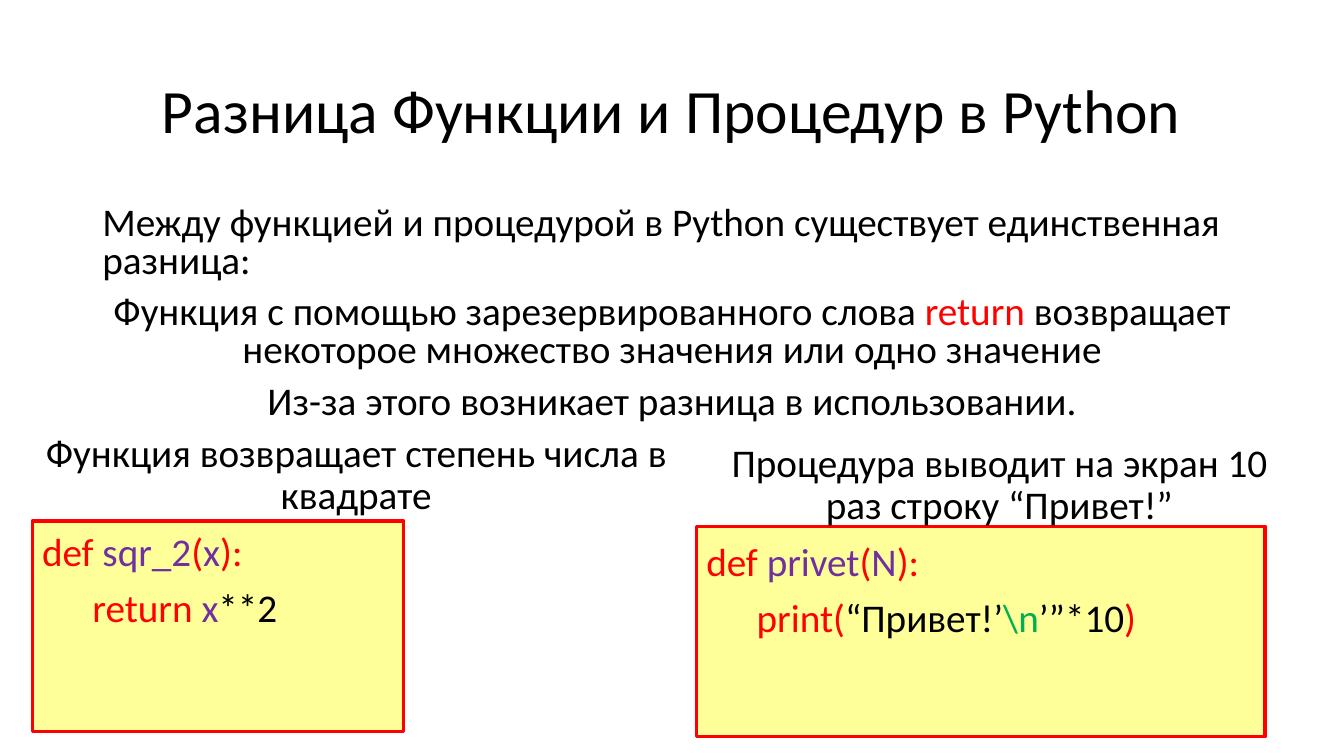
from dataclasses import dataclass

from pptx import Presentation
from pptx.dml.color import RGBColor
from pptx.enum.shapes import MSO_SHAPE
from pptx.enum.text import MSO_ANCHOR, PP_ALIGN
from pptx.util import Cm, Pt

RECTANGLE = MSO_SHAPE.RECTANGLE
LEFT, CENTER = PP_ALIGN.LEFT, PP_ALIGN.CENTER
TOP, MIDDLE = MSO_ANCHOR.TOP, MSO_ANCHOR.MIDDLE

FONT = "Calibri"
COLORS = {
    "text": "000000",
    "keyword": "FF0000",
    "name": "7030A0",
    "escape": "00B050",
    "code_fill": "FFFF99",
    "code_line": "FF0000",
}


@dataclass(frozen=True)
class Box:
    """Place of an element, in centimetres."""
    left: float
    top: float
    width: float
    height: float

    def lengths(self) -> tuple:
        """Return left, top, width and height as lengths."""
        return Cm(self.left), Cm(self.top), Cm(self.width), Cm(self.height)


@dataclass(frozen=True)
class Line:
    """A paragraph made of (text, colour key) pieces."""
    pieces: tuple
    align: PP_ALIGN = LEFT


@dataclass(frozen=True)
class TextBlock:
    """A text box with its paragraphs and their spacing."""
    box: Box
    lines: tuple
    size: int = 28
    spacing: float = 0.9
    before: int = 10
    anchor: MSO_ANCHOR = TOP


def color(key: str) -> RGBColor:
    """Look up a colour by its role."""
    return RGBColor.from_string(COLORS[key])


def plain(text: str, align: PP_ALIGN = CENTER) -> Line:
    """Make a paragraph in the main text colour."""
    return Line(((text, "text"),), align)


def signature(function: str, argument: str) -> Line:
    """Make the coloured def line of a code sample."""
    return Line((("def ", "keyword"), (function, "name"), ("(", "keyword"),
                 (argument, "name"), ("):", "keyword")))


def draw_code_panel(slide, box: Box) -> None:
    """Draw the yellow panel behind a code sample."""
    panel = slide.shapes.add_shape(RECTANGLE, *box.lengths())
    panel.shadow.inherit = False
    panel.fill.solid()
    panel.fill.fore_color.rgb = color("code_fill")
    panel.line.color.rgb = color("code_line")
    panel.line.width = Pt(2.25)


def draw_text(slide, block: TextBlock) -> None:
    """Draw a text block with coloured runs."""
    frame = slide.shapes.add_textbox(*block.box.lengths()).text_frame
    frame.word_wrap = True
    frame.vertical_anchor = block.anchor
    for index, line in enumerate(block.lines):
        paragraph = frame.add_paragraph() if index else frame.paragraphs[0]
        paragraph.alignment = line.align
        paragraph.line_spacing = block.spacing
        paragraph.space_before = Pt(block.before)
        for text, key in line.pieces:
            run = paragraph.add_run()
            run.text = text
            run.font.name = FONT
            run.font.size = Pt(block.size)
            run.font.color.rgb = color(key)


CODE_PANELS = (
    Box(17.55, 13.26, 14.33, 5.31),
    Box(0.81, 13.13, 9.37, 5.31),
)

TITLE = TextBlock(
    Box(2.33, 1.02, 29.21, 3.68),
    (plain("Разница Функции и Процедур в Python"),),
    size=44, before=0, anchor=MIDDLE,
)

EXPLANATION = TextBlock(
    Box(2.33, 5.08, 29.21, 6.25),
    (
        plain("Между функцией и процедурой в Python существует единственная разница:", LEFT),
        Line((("Функция с помощью зарезервированного слова ", "text"),
              ("return ", "keyword"),
              ("возвращает некоторое множество значения или одно значение", "text")),
             CENTER),
        plain("Из-за этого возникает разница в использовании."),
    ),
    spacing=0.8,
)

FUNCTION_SAMPLE = TextBlock(
    Box(0.81, 10.8, 16.33, 8.25),
    (
        plain("Функция возвращает степень числа в квадрате"),
        signature("sqr_2", "x"),
        Line((("\t", "text"), ("return ", "keyword"), ("x", "name"), ("**2", "text"))),
    ),
)

PROCEDURE_SAMPLE = TextBlock(
    Box(17.55, 11.05, 15.27, 8.25),
    (
        plain("Процедура выводит на экран 10 раз строку “Привет!”"),
        signature("privet", "N"),
        Line((("\t", "text"), ("print(", "keyword"), ("“Привет!’", "text"),
              ("\\n", "escape"), ("’”*10", "text"), (")", "keyword"))),
    ),
)


def main() -> None:
    """Build and save the slide."""
    presentation = Presentation()
    presentation.slide_width = Cm(33.87)
    presentation.slide_height = Cm(19.05)
    slide = presentation.slides.add_slide(presentation.slide_layouts[6])
    for panel in CODE_PANELS:
        draw_code_panel(slide, panel)
    for block in (TITLE, EXPLANATION, FUNCTION_SAMPLE, PROCEDURE_SAMPLE):
        draw_text(slide, block)
    presentation.save("out.pptx")


main()
